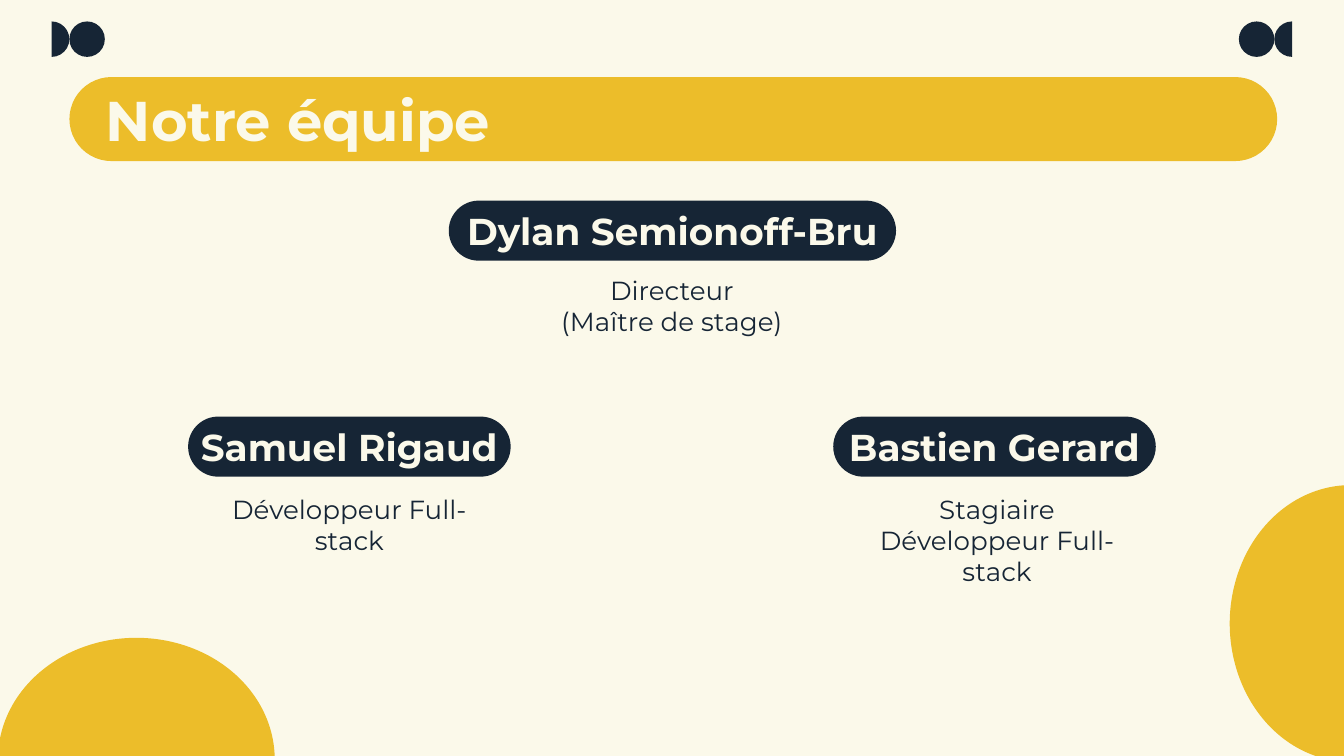
from pptx import Presentation
from pptx.dml.color import RGBColor
from pptx.enum.shapes import MSO_SHAPE
from pptx.enum.text import MSO_ANCHOR, PP_ALIGN
from pptx.util import Pt

CREAM = RGBColor(0xFB, 0xF9, 0xEA)
GOLD = RGBColor(0xEC, 0xBD, 0x2A)
NAVY = RGBColor(0x16, 0x25, 0x35)

PILL, PIE, OVAL = MSO_SHAPE.ROUNDED_RECTANGLE, MSO_SHAPE.PIE, MSO_SHAPE.OVAL
LEFT, CENTER = PP_ALIGN.LEFT, PP_ALIGN.CENTER
TOP, MIDDLE = MSO_ANCHOR.TOP, MSO_ANCHOR.MIDDLE

# Start and end angles of half discs, in units of 100000 / 60000 degrees
LEFT_HALF, RIGHT_HALF, TOP_HALF = (54, 162), (162, 54), (108, 0)

DOT = 19
PILL_H, ROLE_W, ROLE_H = 32.2, 172.8, 43.2

# Name, role lines, pill box (left, top, width), role box (left, top)
TEAM = [
    ("Dylan Semionoff-Bru", ["Directeur", "(Maître de stage)"],
     (240.4, 107.5, 239.6), (273.6, 139.7)),
    ("Samuel Rigaud", ["Développeur Full-stack"],
     (100.8, 223.2, 172.8), (100.8, 257)),
    ("Bastien Gerard", ["Stagiaire", "Développeur Full-stack"],
     (446.4, 223.2, 172.8), (447.8, 257)),
]


def apply(item, values):
    for key, value in values.items():
        setattr(item, key, value)


def add_form(slide, kind, box, color, adjust=()):
    form = slide.shapes.add_shape(kind, *map(Pt, box))
    form.shadow.inherit = False
    form.fill.solid()
    form.fill.fore_color.rgb = color
    form.line.fill.background()
    for i, value in enumerate(adjust):
        form.adjustments[i] = value
    return form


def write(shape, lines, size, color, bold=False, align=CENTER,
          anchor=MIDDLE, wrap=True, inset=(0, 0, 0, 0)):
    frame = shape.text_frame
    left, top, right, bottom = map(Pt, inset)
    apply(frame, {"word_wrap": wrap, "vertical_anchor": anchor,
                  "margin_left": left, "margin_top": top,
                  "margin_right": right, "margin_bottom": bottom})
    for i, line in enumerate(lines):
        para = frame.paragraphs[0] if i == 0 else frame.add_paragraph()
        para.alignment = align
        run = para.add_run()
        run.text = line
        apply(run.font, {"name": "Montserrat", "size": Pt(size), "bold": bold})
        run.font.color.rgb = color


def add_mark(slide, left, top, half):
    """Place a dot with a half disc on its outer side."""
    pie, dot = (left, left + DOT) if half == RIGHT_HALF else (left + DOT, left)
    add_form(slide, PIE, (pie, top, DOT, DOT), NAVY, half)
    add_form(slide, OVAL, (dot, top, DOT, DOT), NAVY)


def add_decor(slide):
    add_form(slide, PIE, (658.8, 259.9, 129.6, 148.3), GOLD, LEFT_HALF)
    add_form(slide, PIE, (-1.1, 341.7, 148.3, 130.3), GOLD, TOP_HALF)
    add_mark(slide, 18.2, 11.5, RIGHT_HALF)
    add_mark(slide, 663.7, 11.5, LEFT_HALF)


def add_title(slide, box, text):
    bar = add_form(slide, PILL, box, GOLD, [0.5])
    write(bar, [text], 30, CREAM, bold=True, align=LEFT, inset=(13, 0, 0, 0))


def add_member(slide, name, role, pill, spot):
    tag = add_form(slide, PILL, (*pill, PILL_H), NAVY, [0.5])
    write(tag, [name], 20, CREAM, bold=True, wrap=False)
    note = slide.shapes.add_textbox(*map(Pt, (*spot, ROLE_W, ROLE_H)))
    write(note, role, 14, NAVY, anchor=TOP, inset=(7.2, 7.2, 7.2, 7.2))


def main():
    deck = Presentation()
    apply(deck, {"slide_width": Pt(720), "slide_height": Pt(405)})
    slide = deck.slides.add_slide(deck.slide_layouts[6])
    slide.background.fill.solid()
    slide.background.fill.fore_color.rgb = CREAM
    add_decor(slide)
    add_title(slide, (37.2, 41.3, 647, 45), "Notre équipe")
    for member in TEAM:
        add_member(slide, *member)
    deck.save("out.pptx")


if __name__ == "__main__":
    main()
